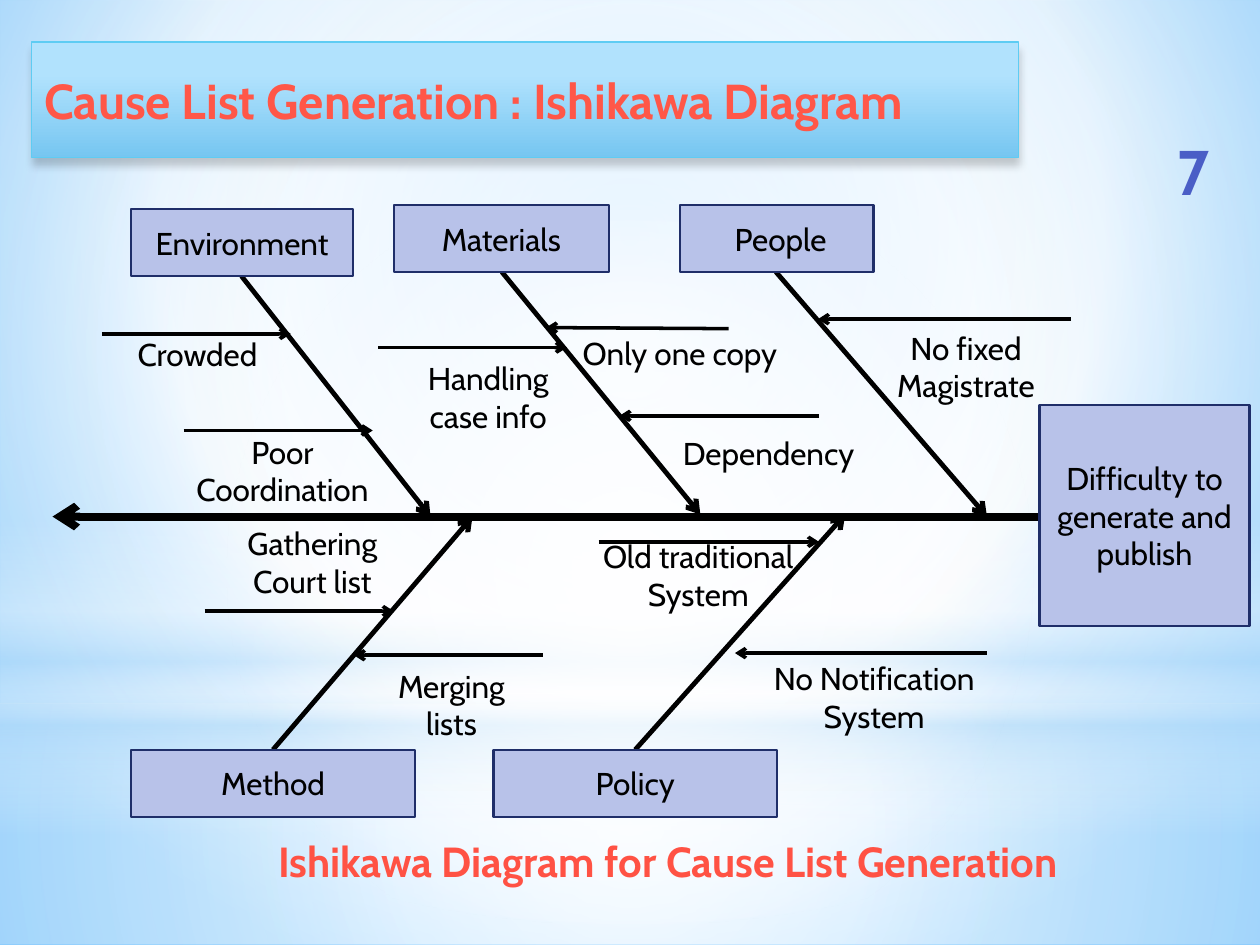
from typing import NamedTuple

from pptx import Presentation as Deck
from pptx.dml.color import RGBColor as Rgb
from pptx.enum.shapes import MSO_CONNECTOR as Link, MSO_SHAPE as Form
from pptx.enum.text import MSO_ANCHOR as Anchor, PP_ALIGN as Align
from pptx.oxml import parse_xml as to_node
from pptx.oxml.ns import nsdecls, qn
from pptx.util import Emu, Inches, Pt

BLACK = Rgb(0x00, 0x00, 0x00)
LILAC = Rgb(0xB8, 0xC2, 0xE9)
NAVY = Rgb(0x1F, 0x2E, 0x69)
BLUE = Rgb(0x4A, 0x5E, 0xC6)
CORAL = Rgb(0xFF, 0x57, 0x48)
RED = Rgb(0xFF, 0x52, 0x44)
AQUA = Rgb(0x5E, 0xCC, 0xF3)
WHITE = Rgb(0xFF, 0xFF, 0xFF)
MIST = Rgb(0xB4, 0xDC, 0xFA)
SKY = Rgb(0x9E, 0xD5, 0xFF)
DEEP = Rgb(0x5B, 0xB9, 0xFF)
PALE = Rgb(0xB1, 0xE2, 0xFD)
TEAL = Rgb(0x76, 0xC6, 0xF1)

COLS, ROWS = 120, 90
WIDE, HIGH = Inches(10), Inches(7.5)
SPINE = 49.2
BODY = {"name": "Cabin", "size": Pt(18), "bold": False}
HEAD = BODY | {"size": Pt(28), "bold": True}
FOOT = HEAD | {"size": Pt(24)}
PAGE = HEAD | {"size": Pt(36)}


class Box(NamedTuple):
    x: float
    y: float
    w: float
    h: float
    text: str = ""


class Arrow(NamedTuple):
    x: float
    y: float
    x2: float
    y2: float
    tip: bool = True


class Stop(NamedTuple):
    at: int
    tone: Rgb
    show: int = 100


class Layer(NamedTuple):
    form: Form
    box: Box
    stops: list[Stop]
    round: bool = True


LAYERS = [
    Layer(Form.RECTANGLE, Box(0, 67, 120, 23),
          [Stop(0, WHITE, 91), Stop(37, WHITE, 76), Stop(100, MIST, 79)]),
    Layer(Form.RECTANGLE, Box(0, 0, 120, 67),
          [Stop(0, WHITE, 89), Stop(48, WHITE, 62), Stop(100, MIST, 79)]),
    Layer(Form.RECTANGLE, Box(0, 49.5, 120, 30),
          [Stop(0, WHITE, 0), Stop(29, WHITE, 30), Stop(45, MIST, 40),
           Stop(55, WHITE, 26), Stop(65, MIST, 60), Stop(100, WHITE, 0)], False),
    Layer(Form.OVAL, Box(0, 21, 120, 67), [Stop(0, WHITE), Stop(56, WHITE, 0)]),
]
SPINES = [Arrow(7.8, SPINE, 104.9, SPINE, False), Arrow(10, SPINE, 5, SPINE)]
RIBS = [
    Arrow(73.9, 25.9, 94, SPINE),
    Arrow(47.8, 25.9, 66.7, 49),
    Arrow(23, 26.3, 41, SPINE),
    Arrow(60.5, 71.4, 80.5, 49),
    Arrow(26, 71.4, 45, SPINE),
]
TWIGS = [
    Arrow(69.4, 31.3, 52, 31.2),
    Arrow(102, 30.4, 77.9, 30.4),
    Arrow(36, 33.1, 54, 33.1),
    Arrow(57, 51.6, 78, 51.6),
    Arrow(94, 62.2, 70, 62.2),
    Arrow(19.5, 58.2, 37.5, 58.2),
    Arrow(51.7, 62.4, 33.7, 62.4),
    Arrow(17.5, 41, 35.5, 41),
    Arrow(9.7, 31.8, 27.7, 31.8),
    Arrow(78, 39.6, 59, 39.6),
]
HEADS = [
    Box(99, 38.6, 20, 21, "Difficulty to generate and publish"),
    Box(64.8, 19.5, 18.4, 6.4, " People"),
    Box(37.5, 19.5, 20.5, 6.4, "Materials"),
    Box(12.5, 19.9, 21.1, 6.4, "Environment"),
    Box(47, 71.4, 27, 6.4, "Policy"),
    Box(12.5, 71.4, 27, 6.4, "Method"),
]
NOTES = [
    Box(54, 31.2, 21.5, 4.8, "Only one copy"),
    Box(83, 30.7, 18, 8.5, "No fixed Magistrate"),
    Box(38.5, 33.6, 16, 8.5, "Handling case info"),
    Box(54, 50.6, 25, 8.5, "Old traditional System"),
    Box(69.4, 62.2, 27.7, 8.5, "No Notification System"),
    Box(35, 62.9, 16, 8.5, "Merging lists"),
    Box(21, 49.3, 17.5, 8.5, "Gathering\nCourt list"),
    Box(16.2, 40.6, 21.4, 8.5, "Poor Coordination"),
    Box(10.8, 31.3, 16, 4.8, "Crowded"),
    Box(63.7, 40.7, 19, 4.8, "Dependency"),
]
TITLE = Box(3, 4, 94, 11, "Cause List Generation : Ishikawa Diagram")
LABEL = Box(21.6, 79, 84, 6, "Ishikawa Diagram for Cause List Generation")
COUNT = Box(109, 13, 9.3, 6.5, "7")


def place(x: float, y: float) -> tuple[Emu, Emu]:
    return Emu(round(x * WIDE / COLS)), Emu(round(y * HIGH / ROWS))


def frame(box: Box) -> tuple[Emu, ...]:
    return place(box.x, box.y) + place(box.w, box.h)


def blend(stops: list[Stop], focus: tuple[int, ...] = ()):
    marks = "".join(
        f'<a:gs pos="{s.at * 1000}"><a:srgbClr val="{s.tone}">'
        f'<a:alpha val="{s.show * 1000}"/></a:srgbClr></a:gs>' for s in stops)
    way = '<a:lin ang="5400000" scaled="0"/>'
    if focus:
        sides = " ".join(f'{k}="{v * 1000}"' for k, v in zip("ltrb", focus))
        way = f'<a:path path="circle"><a:fillToRect {sides}/></a:path>'
    return to_node(f'<a:gradFill {nsdecls("a")} rotWithShape="1">'
                   f'<a:gsLst>{marks}</a:gsLst>{way}</a:gradFill>')


def paint(shape, stops: list[Stop], focus: tuple[int, ...] = ()) -> None:
    shape.fill.solid()
    old = shape.element.spPr.find(qn("a:solidFill"))
    old.getparent().replace(old, blend(stops, focus))


def write(shape, text: str, style: dict, tone: Rgb, align=Align.CENTER,
          anchor=Anchor.MIDDLE, wrap: bool = True) -> None:
    body = shape.text_frame
    body.text = text
    body.word_wrap = wrap
    body.vertical_anchor = anchor
    for para in body.paragraphs:
        para.alignment = align
        for run in para.runs:
            for key, value in style.items():
                setattr(run.font, key, value)
            run.font.color.rgb = tone


def draw_back(slide) -> None:
    slide.background.fill.solid()
    base = slide.element.find(".//" + qn("p:bgPr"))
    stops = [Stop(0, SKY), Stop(60, WHITE), Stop(100, DEEP)]
    base.replace(base[0], blend(stops, (20, 10, 20, 60)))
    for layer in LAYERS:
        shape = slide.shapes.add_shape(layer.form, *frame(layer.box))
        shape.shadow.inherit = False
        shape.line.fill.background()
        paint(shape, layer.stops, (50,) * 4 if layer.round else ())


def draw_line(slide, arrow: Arrow, width: float) -> None:
    line = slide.shapes.add_connector(
        Link.STRAIGHT, *place(arrow.x, arrow.y), *place(arrow.x2, arrow.y2))
    line.line.color.rgb = BLACK
    line.line.width = Pt(width)
    if arrow.tip:
        line.line._get_or_add_ln().append(
            to_node(f'<a:tailEnd {nsdecls("a")} type="arrow"/>'))
    line.element.spPr.append(to_node(f'<a:effectLst {nsdecls("a")}/>'))


def draw_head(slide, box: Box) -> None:
    shape = slide.shapes.add_shape(Form.RECTANGLE, *frame(box))
    shape.shadow.inherit = False
    shape.fill.solid()
    shape.fill.fore_color.rgb = LILAC
    shape.line.color.rgb = NAVY
    shape.line.width = Pt(1.25)
    write(shape, box.text, BODY, BLACK)


def draw_note(slide, box: Box, style: dict = BODY, tone: Rgb = BLACK,
              **more) -> None:
    note = slide.shapes.add_textbox(*frame(box))
    write(note, box.text, style, tone, **({"anchor": Anchor.TOP} | more))


def draw_title(slide) -> None:
    title = slide.shapes.title
    for key, value in zip(("left", "top", "width", "height"), frame(TITLE)):
        setattr(title, key, value)
    props = title.element.spPr
    props.append(to_node(f'<a:prstGeom {nsdecls("a")} prst="roundRect"><a:avLst/></a:prstGeom>'))
    paint(title, [Stop(28, PALE), Stop(100, TEAL)])
    title.line.color.rgb = AQUA
    title.line.width = Pt(0.75)
    props.append(to_node(
        f'<a:effectLst {nsdecls("a")}><a:outerShdw blurRad="{Pt(5)}" dist="{Pt(4)}" '
        f'dir="5400000" rotWithShape="0"><a:srgbClr val="{BLACK}">'
        '<a:alpha val="20000"/></a:srgbClr></a:outerShdw></a:effectLst>'))
    write(title, TITLE.text, HEAD, CORAL, Align.LEFT)
    slide.shapes._spTree.append(title.element)


def main() -> None:
    deck = Deck()
    deck.slide_width, deck.slide_height = WIDE, HIGH
    slide = deck.slides.add_slide(deck.slide_layouts[5])
    draw_back(slide)
    for group, width in ((SPINES, 4.5), (RIBS, 2.75), (TWIGS, 2)):
        for arrow in group:
            draw_line(slide, arrow, width)
    for box in HEADS:
        draw_head(slide, box)
    for box in NOTES:
        draw_note(slide, box)
    draw_note(slide, COUNT, PAGE, BLUE, anchor=Anchor.MIDDLE)
    draw_title(slide)
    draw_note(slide, LABEL, FOOT, RED, wrap=False)
    deck.save("out.pptx")


if __name__ == "__main__":
    main()
